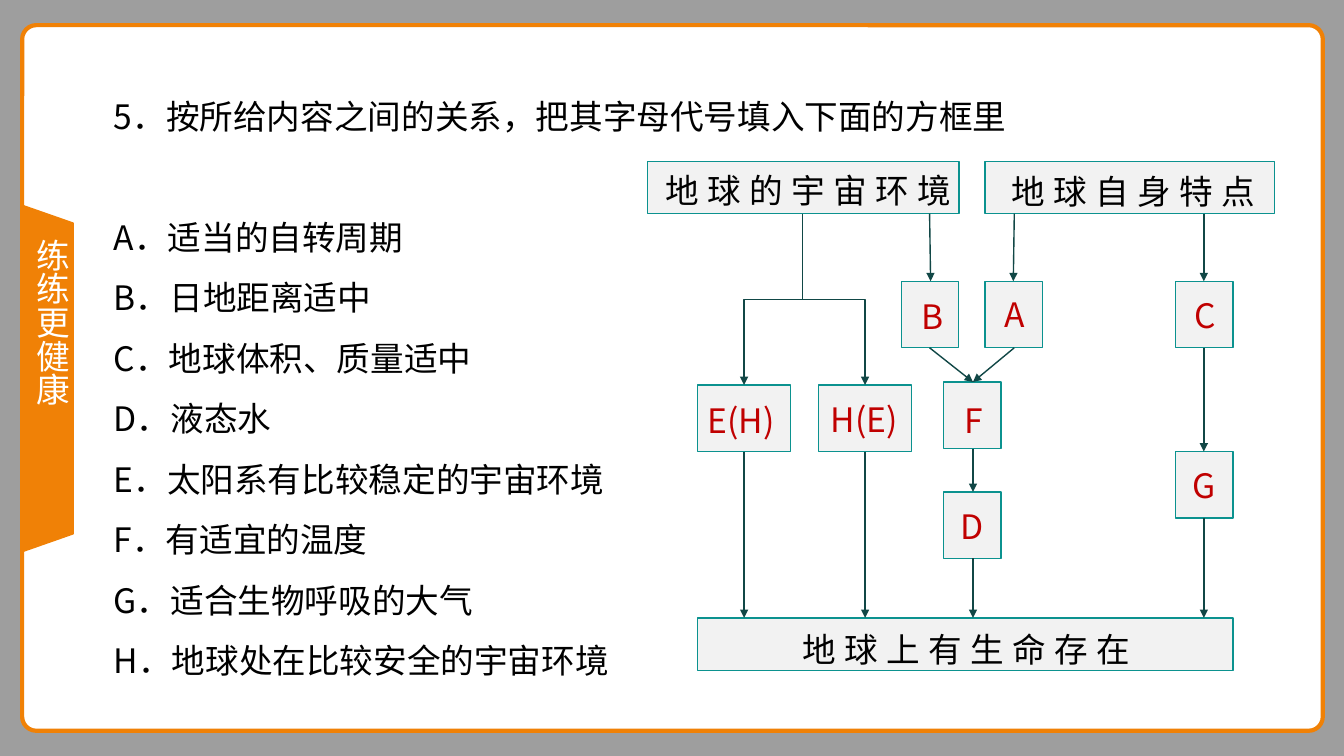
"""Build a quiz slide linking the conditions for life on Earth in a flow chart."""
from dataclasses import dataclass

from lxml.etree import SubElement
from pptx import Presentation
from pptx.dml.color import RGBColor
from pptx.enum.shapes import MSO_CONNECTOR, MSO_SHAPE
from pptx.enum.text import MSO_ANCHOR, MSO_AUTO_SIZE, PP_ALIGN
from pptx.oxml.ns import qn
from pptx.shapes.autoshape import Shape
from pptx.shapes.connector import Connector
from pptx.slide import Slide
from pptx.text.text import TextFrame
from pptx.util import Inches, Pt


@dataclass(frozen=True)
class Theme:
    """Colours, font and sizes of the slide."""
    backdrop: str = "0D0D0D"
    white: str = "FFFFFF"
    orange: str = "F08106"
    ink: str = "000000"
    answer: str = "C00000"
    box_fill: str = "F2F2F2"
    box_line: str = "0B928F"
    arrow: str = "114746"
    font: str = "Noto Sans CJK SC"
    size: float = 24
    thin: float = 1
    thick: float = 3


@dataclass(frozen=True)
class Area:
    """A place on the slide, in inches."""
    left: float
    top: float
    width: float
    height: float

    def lengths(self) -> tuple:
        """Return the four lengths for python-pptx."""
        return tuple(Inches(value) for value in (self.left, self.top, self.width, self.height))


@dataclass(frozen=True)
class Node:
    """A chart box with its label placed over it."""
    text: str
    box: Area
    label: Area
    heading: bool = False


@dataclass(frozen=True)
class Arrow:
    """An arrow from one point to another."""
    start: tuple[float, float]
    end: tuple[float, float]


THEME = Theme()
ROW = 0.66
SMALL = 0.57
WIDE = 0.92
BAR = 0.52
LABEL = 0.5
QUESTION = "5．按所给内容之间的关系，把其字母代号填入下面的方框里"
CHOICES = (
    "A．适当的自转周期",
    "B．日地距离适中",
    "C．地球体积、质量适中",
    "D．液态水",
    "E．太阳系有比较稳定的宇宙环境",
    "F．有适宜的温度",
    "G．适合生物呼吸的大气",
    "H．地球处在比较安全的宇宙环境",
)
NODES = (
    Node("E(H)", Area(6.92, 3.82, WIDE, ROW), Area(6.92, 3.92, 0.89, LABEL)),
    Node("H(E)", Area(8.12, 3.82, WIDE, ROW), Area(8.14, 3.91, 0.89, LABEL)),
    Node("B", Area(8.94, 2.79, SMALL, ROW), Area(9.04, 2.89, 0.44, LABEL)),
    Node("A", Area(9.77, 2.79, SMALL, ROW), Area(9.86, 2.87, 0.4, LABEL)),
    Node("C", Area(11.66, 2.79, SMALL, ROW), Area(11.75, 2.88, 0.43, LABEL)),
    Node("F", Area(9.36, 3.79, SMALL, ROW), Area(9.47, 3.92, 0.39, LABEL)),
    Node("D", Area(9.36, 4.88, SMALL, ROW), Area(9.43, 4.97, 0.45, LABEL)),
    Node("G", Area(11.66, 4.48, SMALL, ROW), Area(11.73, 4.56, 0.43, LABEL)),
    Node("地球的宇宙环境", Area(6.42, 1.6, 3.09, BAR), Area(6.44, 1.64, 3.15, LABEL), True),
    Node("地球上有生命存在", Area(6.92, 6.13, 5.31, BAR), Area(7.8, 6.19, 3.57, LABEL), True),
    Node("地球自身特点", Area(9.77, 1.6, 2.87, BAR), Area(9.88, 1.65, 2.73, LABEL), True),
)
BRANCHES = (
    Arrow((7.96, 2.12), (8.58, 3.82)),
    Arrow((7.96, 2.12), (7.38, 3.82)),
)
ARROWS = (
    Arrow((7.38, 4.48), (7.38, 6.13)),
    Arrow((8.58, 4.48), (8.58, 6.13)),
    Arrow((9.22, 2.12), (9.23, 2.79)),
    Arrow((10.06, 2.12), (10.05, 2.79)),
    Arrow((10.06, 3.45), (9.65, 3.79)),
    Arrow((9.22, 3.45), (9.65, 3.79)),
    Arrow((9.65, 4.45), (9.65, 4.88)),
    Arrow((9.65, 5.54), (9.65, 6.13)),
    Arrow((11.94, 2.12), (11.94, 2.79)),
    Arrow((11.94, 3.45), (11.94, 4.48)),
    Arrow((11.94, 5.14), (11.94, 6.13)),
)


def write(frame: TextFrame, *lines: str, color: str = THEME.ink, align: PP_ALIGN = PP_ALIGN.LEFT,
          spacing: float = 1.0, tracking: float = 0, wrap: bool = True, vertical: bool = False) -> None:
    """Fill a text frame with one paragraph per line."""
    frame.word_wrap = wrap
    frame.auto_size = MSO_AUTO_SIZE.SHAPE_TO_FIT_TEXT
    frame.vertical_anchor = MSO_ANCHOR.TOP
    frame.margin_left = frame.margin_right = Inches(0.1)
    frame.margin_top = frame.margin_bottom = Inches(0.05)
    if vertical:
        frame._txBody.bodyPr.set("vert", "eaVert")
    for index, line in enumerate(lines):
        para = frame.paragraphs[0] if index == 0 else frame.add_paragraph()
        para.alignment = align
        para.line_spacing = spacing
        span = para.add_run()
        span.text = line
        span.font.size = Pt(THEME.size)
        span.font.name = THEME.font
        span.font.color.rgb = RGBColor.from_string(color)
        properties = span.font._element
        SubElement(properties, qn("a:ea")).set("typeface", THEME.font)
        if tracking:
            properties.set("spc", str(round(tracking * 100)))


def add_box(page: Slide, kind: MSO_SHAPE, area: Area, fill: str,
            line: str | None = None, weight: float = THEME.thin) -> Shape:
    """Draw a flat preset shape."""
    box = page.shapes.add_shape(kind, *area.lengths())
    box.shadow.inherit = False
    box.fill.solid()
    box.fill.fore_color.rgb = RGBColor.from_string(fill)
    if line is None:
        box.line.fill.background()
    else:
        box.line.color.rgb = RGBColor.from_string(line)
        box.line.width = Pt(weight)
    return box


def add_arrow(page: Slide, arrow: Arrow, kind: MSO_CONNECTOR = MSO_CONNECTOR.STRAIGHT) -> Connector:
    """Draw a connector with a triangle at its end."""
    points = [Inches(value) for value in (*arrow.start, *arrow.end)]
    connector = page.shapes.add_connector(kind, *points)
    connector.line.color.rgb = RGBColor.from_string(THEME.arrow)
    connector.line.width = Pt(THEME.thin)
    SubElement(connector.line._get_or_add_ln(), qn("a:tailEnd")).set("type", "triangle")
    SubElement(connector._element.spPr, qn("a:effectLst"))
    return connector


def add_branch(page: Slide, branch: Arrow) -> None:
    """Draw an elbow arrow that leaves downwards, by turning a sideways elbow."""
    (start_x, start_y), (end_x, end_y) = branch.start, branch.end
    middle_x, middle_y = (start_x + end_x) / 2, (start_y + end_y) / 2
    rightward = end_x > start_x
    reach = (end_y - start_y) / 2 * (1 if rightward else -1)
    rise = abs(end_x - start_x) / 2
    sideways = Arrow((middle_x + reach, middle_y - rise), (middle_x - reach, middle_y + rise))
    connector = add_arrow(page, sideways, MSO_CONNECTOR.ELBOW)
    connector._element.spPr.xfrm.set("rot", str((270 if rightward else 90) * 60000))


def add_frame(page: Slide) -> None:
    """Draw the grey backdrop, the white card and the side tab."""
    backdrop = add_box(page, MSO_SHAPE.RECTANGLE, Area(0, 0, 13.33, 7.5), THEME.backdrop)
    color = backdrop._element.spPr.find(qn("a:solidFill"))[0]
    SubElement(color, qn("a:alpha")).set("val", "40000")
    card = add_box(page, MSO_SHAPE.ROUNDED_RECTANGLE, Area(0.22, 0.25, 12.9, 7),
                   THEME.white, THEME.orange, THEME.thick)
    card.adjustments[0] = 0.02
    tab = add_box(page, MSO_SHAPE.TRAPEZOID, Area(-1.25, 3.5, 3.44, 0.51), THEME.orange, THEME.orange)
    tab.adjustments[0] = 0.35
    tab.rotation = 90
    motto = page.shapes.add_textbox(*Area(0.16, 2.27, 0.61, 2.94).lengths())
    write(motto.text_frame, "练练更健康", color=THEME.white, align=PP_ALIGN.JUSTIFY, vertical=True)


def add_question(page: Slide) -> None:
    """Place the question in the title and the choices below it."""
    title = page.shapes.title
    title.element.getparent().append(title.element)
    title.left, title.top, title.width, title.height = Area(1.03, 0.7, 9.72, 0.7).lengths()
    write(title.text_frame, QUESTION, spacing=1.5)
    choices = page.shapes.add_textbox(*Area(1.03, 1.9, 5.35, 4.9).lengths())
    write(choices.text_frame, *CHOICES, spacing=1.5)


def add_chart_of_life(page: Slide) -> None:
    """Draw the boxes, the arrows and the labels."""
    for node in NODES:
        add_box(page, MSO_SHAPE.RECTANGLE, node.box, THEME.box_fill, THEME.box_line)
    for branch in BRANCHES:
        add_branch(page, branch)
    for arrow in ARROWS:
        add_arrow(page, arrow)
    for node in NODES:
        label = page.shapes.add_textbox(*node.label.lengths())
        write(label.text_frame, node.text, wrap=False,
              color=THEME.ink if node.heading else THEME.answer,
              align=PP_ALIGN.CENTER if node.heading else PP_ALIGN.LEFT,
              tracking=6 if node.heading else 0)


def main() -> None:
    """Build and save the deck."""
    deck = Presentation()
    deck.slide_width, deck.slide_height = Inches(13.33), Inches(7.5)
    page = deck.slides.add_slide(deck.slide_layouts[5])
    add_frame(page)
    add_question(page)
    add_chart_of_life(page)
    deck.save("out.pptx")


if __name__ == "__main__":
    main()
